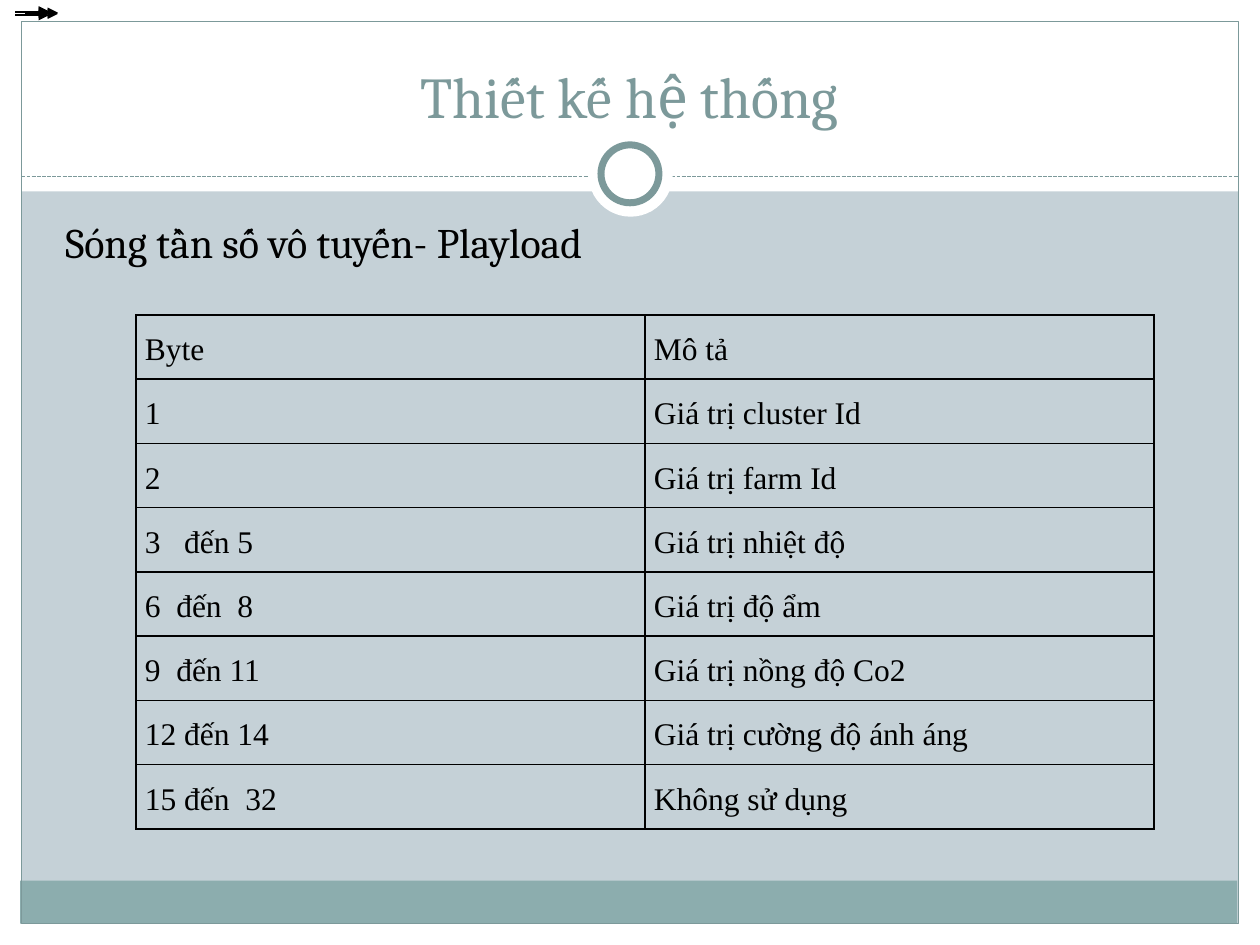
from lxml import etree
from pptx import Presentation
from pptx.dml.color import RGBColor
from pptx.enum.dml import MSO_LINE
from pptx.enum.shapes import MSO_CONNECTOR, MSO_SHAPE
from pptx.enum.text import MSO_ANCHOR, PP_ALIGN
from pptx.oxml import parse_xml
from pptx.oxml.ns import nsdecls, qn
from pptx.util import Inches, Pt

RECT, OVAL = MSO_SHAPE.RECTANGLE, MSO_SHAPE.OVAL
STRAIGHT = MSO_CONNECTOR.STRAIGHT
DASH = MSO_LINE.SQUARE_DOT
LEFT, CENTER = PP_ALIGN.LEFT, PP_ALIGN.CENTER
TOP, BOTTOM = MSO_ANCHOR.TOP, MSO_ANCHOR.BOTTOM
WHITE, TEAL, GRAY_TEAL, BLACK = "FFFFFF", "8CADAE", "7C999A", "000000"


def color(value):
    return RGBColor.from_string(value)


def write(tf, text, font="Cambria", size=18, fill=BLACK, align=LEFT,
          anchor=TOP, wrap=True, spacing=1.0):
    tf.word_wrap = wrap
    tf.vertical_anchor = anchor
    p = tf.paragraphs[0]
    p.alignment = align
    p.line_spacing = spacing
    r = p.add_run()
    r.text = text
    r.font.name = font
    r.font.size = Pt(size)
    r.font.color.rgb = color(fill)


prs = Presentation()
prs.slide_width, prs.slide_height = Inches(10), Inches(7.5)
s = prs.slides.add_slide(prs.slide_layouts[6])
s.background.fill.solid()
s.background.fill.fore_color.rgb = color("C5D1D7")

# Frame: white margins, footer band, outline, and the ring on the divider
frame = [
    (RECT, 0, 7.33, 10, 0.17, WHITE, None),
    (RECT, 0, 0, 10, 1.52, WHITE, None),
    (RECT, 0, 0, 0.17, 7.5, WHITE, None),
    (RECT, 9.83, 0, 0.17, 7.5, WHITE, None),
    (RECT, 0.16, 6.99, 9.66, 0.34, TEAL, None),
    (RECT, 0.17, 0.17, 9.66, 7.16, None, 0.75),
    (OVAL, 4.67, 1.05, 0.67, 0.67, WHITE, None),
    (OVAL, 4.77, 1.15, 0.46, 0.46, WHITE, 4),
]
# Divider and the small arrows in the corner: x1, x2, y
lines = [(0.17, 9.83, 1.4), (0.12, 0.39, 0.1), (0.12, 0.39, 0.12),
         (0.12, 0.39, 0.09), (0.2, 0.46, 0.1), (0.2, 0.46, 0.11)]

connectors = []
for x1, x2, y in lines:
    c = s.shapes.add_connector(STRAIGHT, Inches(x1), Inches(y), Inches(x2), Inches(y))
    c.line.width = Pt(0.75)
    c.line.color.rgb = color(BLACK)
    etree.SubElement(c._element.spPr, qn("a:effectLst"))
    connectors.append(c)

divider, *arrows = connectors
divider.line.color.rgb = color(GRAY_TEAL)
divider.line.dash_style = DASH
for arrow in arrows:
    etree.SubElement(arrow.line._get_or_add_ln(), qn("a:tailEnd"), type="triangle")

for kind, x, y, w, h, fill, width in frame:
    sp = s.shapes.add_shape(kind, Inches(x), Inches(y), Inches(w), Inches(h))
    sp.shadow.inherit = False
    if fill:
        sp.fill.solid()
        sp.fill.fore_color.rgb = color(fill)
    else:
        sp.fill.background()
    if width:
        sp.line.color.rgb = color(GRAY_TEAL)
        sp.line.width = Pt(width)
    else:
        sp.line.fill.background()
    if kind == OVAL:
        continue
    # Rectangles lie behind the divider and arrows
    divider._element.addprevious(sp._element)

title = s.shapes.add_textbox(Inches(0.33), Inches(0.25), Inches(9.33), Inches(0.83))
write(title.text_frame, "Thiết kế hệ thống", size=33, fill=GRAY_TEAL,
      align=CENTER, anchor=BOTTOM)

heading = s.shapes.add_textbox(Inches(0.42), Inches(1.67), Inches(4.7), Inches(0.5))
write(heading.text_frame, "Sóng tần số vô tuyến- Playload", size=24, wrap=False)

rows = [
    ("Byte", "Mô tả"),
    ("1", "Giá trị cluster Id"),
    ("2", "Giá trị farm Id"),
    ("3   đến 5", "Giá trị nhiệt độ"),
    ("6  đến  8", "Giá trị độ ẩm"),
    ("9  đến 11", "Giá trị nồng độ Co2"),
    ("12 đến 14", "Giá trị cường độ ánh áng"),
    ("15 đến  32", "Không sử dụng"),
]
table = s.shapes.add_table(len(rows), 2, Inches(1.08), Inches(2.5),
                           Inches(8.08), Inches(4.08)).table
table.first_row = table.horz_banding = False
for i, row in enumerate(rows):
    for j, text in enumerate(row):
        cell = table.cell(i, j)
        cell.margin_left = cell.margin_right = Inches(0.07)
        cell.margin_top = cell.margin_bottom = 0
        write(cell.text_frame, text, font="Times New Roman", spacing=1.5)
        tcPr = cell._tc.get_or_add_tcPr()
        for side in ("lnL", "lnR", "lnT", "lnB"):
            tcPr.append(parse_xml(
                f'<a:{side} {nsdecls("a")} w="{Pt(1)}"><a:solidFill>'
                f'<a:srgbClr val="{BLACK}"/></a:solidFill></a:{side}>'))
        cell.fill.background()

prs.save("out.pptx")
